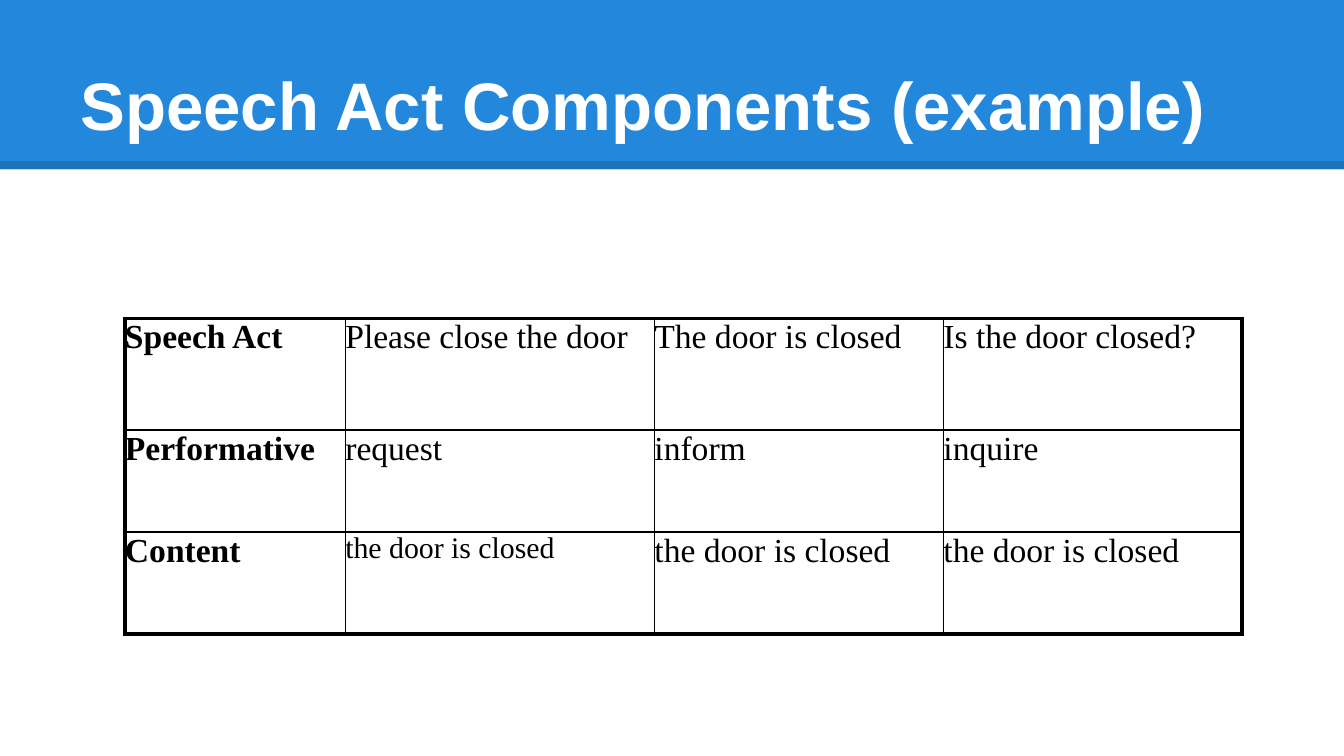
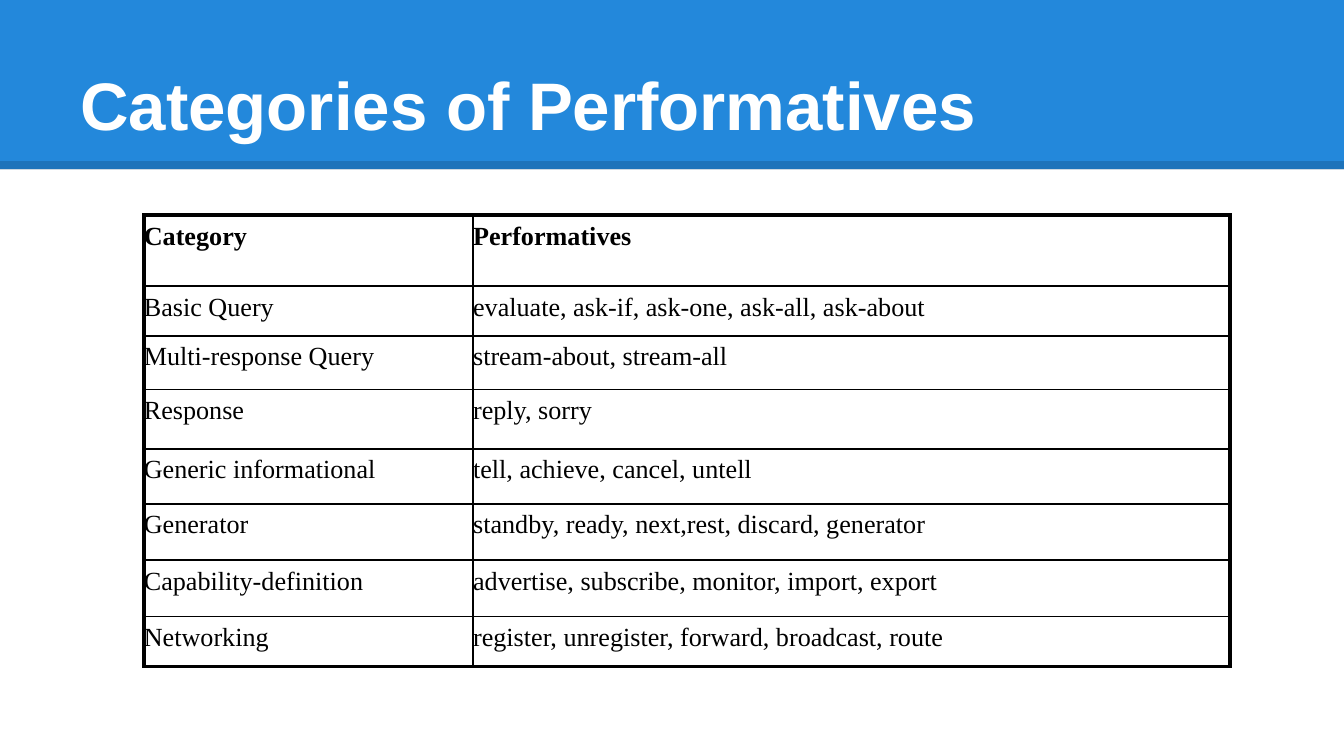
import lxml.etree
import pptx
import pptx.dml.color
import pptx.enum.shapes
import pptx.enum.text
import pptx.oxml.ns
import pptx.util

SLIDE_WIDTH = 10
SLIDE_HEIGHT = SLIDE_WIDTH * 9 / 16
BLUE, WHITE, BLACK = "2388DB", "FFFFFF", "000000"
TITLE_FONT = {"name": "Arial", "size": pptx.util.Pt(36), "bold": True}
TABLE_FONT = "Times New Roman"
OUTER_BORDER, INNER_BORDER = 2.25, 1

SPEECH_ACTS = [
    ["Speech Act", "Please close the door", "The door is closed", "Is the door closed?"],
    ["Performative", "request", "inform", "inquire"],
    ["Content"] + ["the door is closed"] * 3,
]
CATEGORIES = [
    ["Category", "Performatives"],
    ["Basic Query", "evaluate, ask-if, ask-one, ask-all, ask-about"],
    ["Multi-response Query", "stream-about, stream-all"],
    ["Response", "reply, sorry"],
    ["Generic informational", "tell, achieve, cancel, untell"],
    ["Generator", "standby, ready, next,rest, discard, generator"],
    ["Capability-definition", "advertise, subscribe, monitor, import, export"],
    ["Networking", "register, unregister, forward, broadcast, route"],
]


def inches(*lengths):
    return [pptx.util.Inches(length) for length in lengths]


def color(hex_string):
    return pptx.dml.color.RGBColor.from_string(hex_string)


def apply_format(target, values):
    for name, value in values.items():
        setattr(target, name, value)


def write(text_frame, text, font_values, hex_string):
    run = text_frame.paragraphs[0].add_run()
    run.text = text
    apply_format(run.font, font_values)
    run.font.color.rgb = color(hex_string)


def add_xml(parent, tag, **attributes):
    return lxml.etree.SubElement(parent, pptx.oxml.ns.qn(tag), **attributes)


def add_band(slide):
    """Blue header band with a translucent dark stripe along its lower edge."""
    band = slide.shapes.add_shape(
        pptx.enum.shapes.MSO_SHAPE.RECTANGLE, *inches(0, 0, SLIDE_WIDTH, 1.26))
    band.shadow.inherit = False
    band.fill.solid()
    band.fill.fore_color.rgb = color(BLUE)
    band.line.fill.background()

    stripe = slide.shapes.add_connector(
        pptx.enum.shapes.MSO_CONNECTOR.STRAIGHT, *inches(0, 1.23, SLIDE_WIDTH, 1.23))
    stripe.line.width = pptx.util.Pt(4.5)
    stripe.line.color.rgb = color(BLACK)
    add_xml(stripe.element.xpath(".//a:ln//a:srgbClr")[0], "a:alpha", val="15000")
    add_xml(stripe.element.spPr, "a:effectLst")


def add_title(slide, text):
    title = slide.shapes.add_textbox(
        *inches(0.05 * SLIDE_WIDTH, 0.23, 0.9 * SLIDE_WIDTH, 0.94))
    frame = title.text_frame
    margins = dict.fromkeys(
        ["margin_left", "margin_top", "margin_right", "margin_bottom"],
        pptx.util.Inches(0.1))
    apply_format(frame, {"word_wrap": True, **margins,
                         "vertical_anchor": pptx.enum.text.MSO_ANCHOR.BOTTOM})
    write(frame, text, TITLE_FONT, WHITE)


def add_titled_slide(deck, title):
    slide = deck.slides.add_slide(deck.slide_layouts[6])
    add_band(slide)
    add_title(slide, title)
    return slide


def set_borders(cell_properties, widths):
    """Put left, right, top and bottom borders ahead of the cell's fill."""
    for position, (side, width) in enumerate(zip("LRTB", widths)):
        border = add_xml(cell_properties, f"a:ln{side}", w=str(pptx.util.Pt(width)))
        add_xml(add_xml(border, "a:solidFill"), "a:srgbClr", val=BLACK)
        cell_properties.insert(position, border)


def add_grid(slide, corner, columns, heights, texts, size, is_heading,
             padding=0, special_sizes=None):
    """Ruled table with a heavy outer frame; is_heading(row, column) marks bold cells."""
    frame = slide.shapes.add_table(
        len(heights), len(columns), *inches(*corner, sum(columns), sum(heights)))
    table = frame.table
    apply_format(table, {"first_row": False, "horz_banding": False})
    for column, width in zip(table.columns, columns):
        column.width = pptx.util.Inches(width)
    for row, height in zip(table.rows, heights):
        row.height = pptx.util.Inches(height)

    margins = {"margin_left": 0, "margin_right": 0,
               "margin_top": pptx.util.Inches(padding),
               "margin_bottom": pptx.util.Inches(padding)}
    cell_elements = frame.element.xpath(".//a:tc")
    for r, row_texts in enumerate(texts):
        for c, text in enumerate(row_texts):
            cell = table.cell(r, c)
            apply_format(cell, margins)
            cell.fill.solid()
            cell.fill.fore_color.rgb = color(WHITE)
            points = (special_sizes or {}).get((r, c), size)
            write(cell.text_frame, text,
                  {"name": TABLE_FONT, "size": pptx.util.Pt(points),
                   "bold": is_heading(r, c)}, BLACK)
            on_edge = [c == 0, c == len(columns) - 1, r == 0, r == len(heights) - 1]
            set_borders(cell_elements[r * len(columns) + c].get_or_add_tcPr(),
                        [OUTER_BORDER if edge else INNER_BORDER for edge in on_edge])


def main():
    deck = pptx.Presentation()
    deck.slide_width, deck.slide_height = inches(SLIDE_WIDTH, SLIDE_HEIGHT)

    example = add_titled_slide(deck, "Speech Act Components (example)")
    add_grid(example, (0.93, 2.37), [1.64, 2.3, 2.15, 2.22], [0.83, 0.76, 0.76],
             SPEECH_ACTS, 18, lambda row, column: column == 0,
             special_sizes={(2, 1): 16})

    categories = add_titled_slide(deck, "Categories of Performatives")
    add_grid(categories, (1.07, 1.6), [2.45, 5.63],
             [0.53, 0.37, 0.4, 0.44, 0.41, 0.42, 0.42, 0.37],
             CATEGORIES, 14, lambda row, column: row == 0, padding=0.05)

    deck.save("out.pptx")


if __name__ == "__main__":
    main()
